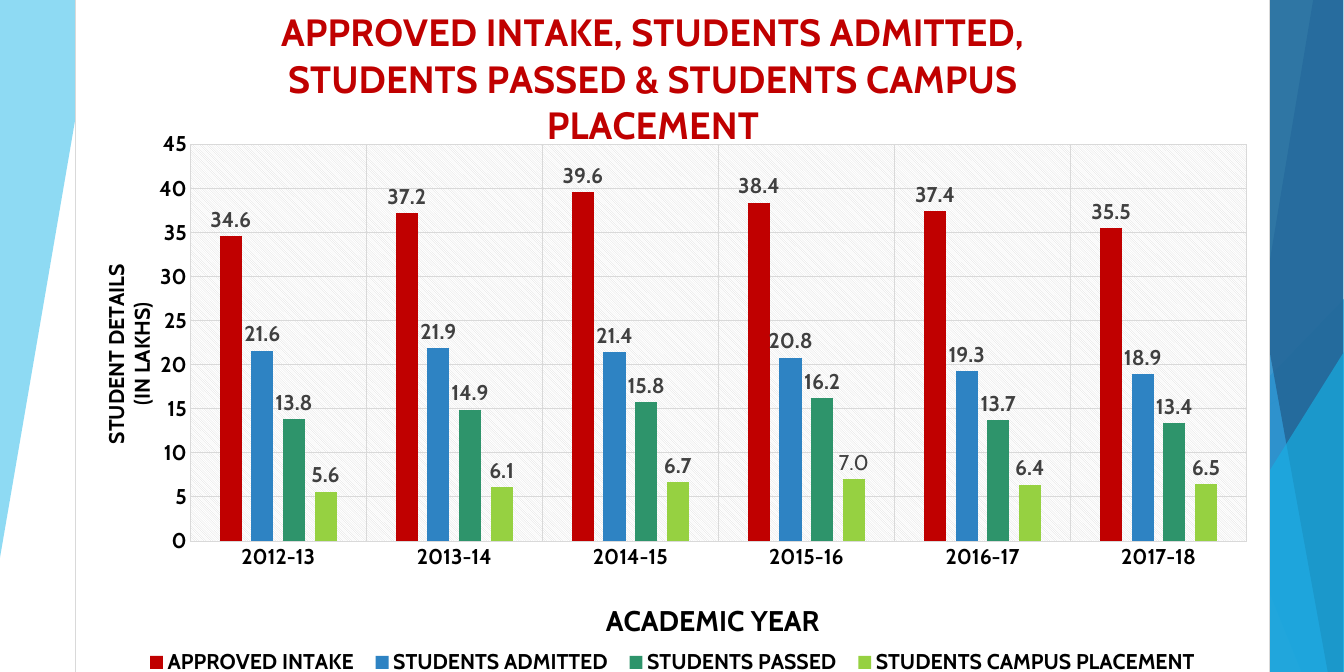
import pptx
import pptx.chart.data
import pptx.dml.color
import pptx.enum.chart
import pptx.enum.shapes
import pptx.oxml
import pptx.oxml.ns
import pptx.util
from pptx.util import Inches

qn = pptx.oxml.ns.qn
NAMESPACES = pptx.oxml.ns.nsdecls("c", "a")


def paint(fill, colour, opacity=100):
    fill.solid()
    fill.fore_color.rgb = pptx.dml.color.RGBColor.from_string(colour)
    if opacity < 100:
        tint = fill._xPr.find(qn("a:solidFill"))[0]
        tint.append(pptx.oxml.parse_xml(
            f'<a:alpha {NAMESPACES} val="{opacity * 1000}"/>'))


def place(part, index, **box):
    """Give a chart part a manual layout, in fractions of the chart."""
    for old in part.findall(qn("c:layout")):
        part.remove(old)
    target = '<c:layoutTarget val="inner"/>' if index == 0 else ""
    modes = '<c:xMode val="edge"/><c:yMode val="edge"/>'
    sizes = "".join(f'<c:{key} val="{value}"/>' for key, value in box.items())
    part.insert(index, pptx.oxml.parse_xml(
        f"<c:layout {NAMESPACES}><c:manualLayout>{target}{modes}{sizes}"
        "</c:manualLayout></c:layout>"))


deck = pptx.Presentation()
deck.slide_width, deck.slide_height = Inches(15.75), Inches(7.87)
slide = deck.slides.add_slide(deck.slide_layouts[6])
shapes = slide.shapes

# Faceted side decoration, back to front
ray = shapes.add_connector(pptx.enum.shapes.MSO_CONNECTOR.STRAIGHT,
                           Inches(15.74), Inches(4.23), Inches(9.59), Inches(7.87))
ray.line.width = pptx.util.Pt(0.75)
paint(ray.line.fill, "5FCBEF", 70)
ray._element.spPr.append(pptx.oxml.parse_xml(f"<a:effectLst {NAMESPACES}/>"))

# A facet is a list of corners, or the box (left, top, width, height) of a triangle
facets = [
    ([(0, 0), (1.12, -0.01), (1.12, 0.01), (0, 6.53)], "5FCBEF", 70),
    ([(14.5, -0.01), (15.74, -0.01), (15.74, 7.87), (11.86, 7.87)], "5FCBEF", 36),
    ([(12.4, -0.01), (15.75, -0.01), (15.75, 7.87), (13.97, 7.87)], "5FCBEF", 20),
    ((11.54, 3.5, 4.21, 4.37), "17B0E4", 66),
    ([(12.06, -0.01), (15.74, -0.01), (15.74, 7.87), (15.25, 7.87)], "17B0E4", 50),
    ([(15.39, -0.01), (15.74, -0.01), (15.74, 7.87), (14.08, 7.87)], "2E83C3", 70),
    ([(14.13, -0.01), (15.74, -0.01), (15.74, 7.87), (15.56, 7.87)], "226292", 80),
    ((13.4, 4.12, 2.35, 3.75), "17B0E4", 66),
]
for outline, colour, opacity in facets:
    if isinstance(outline, tuple):
        facet = shapes.add_shape(pptx.enum.shapes.MSO_SHAPE.ISOSCELES_TRIANGLE,
                                 *map(Inches, outline))
        facet.adjustments[0] = 1
    else:
        corners = [(Inches(x), Inches(y)) for x, y in outline]
        builder = shapes.build_freeform(*corners[0])
        builder.add_line_segments(corners[1:], close=True)
        facet = builder.convert_to_shape()
    facet.shadow.inherit = False
    facet.line.fill.background()
    paint(facet.fill, colour, opacity)

# Student chart
student_data = pptx.chart.data.CategoryChartData()
student_data.categories = ["2012-13", "2013-14", "2014-15",
                           "2015-16", "2016-17", "2017-18"]
measures = [
    ("APPROVED INTAKE", [34.6, 37.2, 39.6, 38.4, 37.4, 35.5], "C00000"),
    ("STUDENTS ADMITTED", [21.6, 21.9, 21.4, 20.8, 19.3, 18.9], "2E83C3"),
    ("STUDENTS PASSED", [13.8, 14.9, 15.8, 16.2, 13.7, 13.4], "2E946B"),
    ("STUDENTS CAMPUS PLACEMENT", [5.6, 6.1, 6.7, 7, 6.4, 6.5], "96D141"),
]
for name, values, colour in measures:
    student_data.add_series(name, values)
chart = shapes.add_chart(
    pptx.enum.chart.XL_CHART_TYPE.COLUMN_CLUSTERED,
    Inches(0.88), Inches(-0.1), Inches(14), Inches(8.32), student_data).chart
chart.font.size = pptx.util.Pt(10)
chart.font.name = "Cabin"
columns = chart.plots[0]
columns.gap_width, columns.overlap, columns.vary_by_categories = 267, -43, False

# Axes and gridlines
years, lakhs = chart.category_axis, chart.value_axis
lakhs.minimum_scale, lakhs.maximum_scale, lakhs.major_unit = 0, 45, 5
lakhs.format.line.fill.background()
for axis in (years, lakhs):
    axis.has_major_gridlines = True
    axis.major_tick_mark = pptx.enum.chart.XL_TICK_MARK.NONE
for line in (years.format.line, years.major_gridlines.format.line,
             lakhs.major_gridlines.format.line):
    line.width = pptx.util.Pt(0.75)
    paint(line.fill, "D9D9D9")

# Legend
chart.has_legend = True
legend = chart.legend
legend.position = pptx.enum.chart.XL_LEGEND_POSITION.BOTTOM
legend.include_in_layout = False
place(legend._element, 1, x=0.05, y=0.92, w=0.9, h=0.05)

fonts = [(part.font, 18, "000000", True)
         for part in (years.tick_labels, lakhs.tick_labels, legend)]

# Titles
titles = [
    (chart, "APPROVED INTAKE, STUDENTS ADMITTED,\n"
            "STUDENTS PASSED & STUDENTS CAMPUS PLACEMENT", 32, "C00000", 0.17, 0.02),
    (years, "ACADEMIC YEAR", 24, "000000", 0.44, 0.85),
    (lakhs, "STUDENT DETAILS\n(IN LAKHS)", 18, "000000", 0.02, 0.38),
]
for owner, wording, size, colour, x, y in titles:
    owner.has_title = True
    title = owner.chart_title if owner is chart else owner.axis_title
    title.text_frame.text = wording
    fonts += [(paragraph.runs[0].font, size, colour, True)
              for paragraph in title.text_frame.paragraphs]
    place(title._element, 1, x=x, y=y)
lakhs.axis_title.text_frame._txBody.bodyPr.set("rot", "-5400000")
lakhs.axis_title.text_frame._txBody.bodyPr.set("vert", "horz")

# Columns and their value labels
outside_end = pptx.enum.chart.XL_LABEL_POSITION.OUTSIDE_END
for series, (name, values, colour) in zip(columns.series, measures):
    paint(series.format.fill, colour)
    labels = series.data_labels
    labels.show_value = True
    labels.position = outside_end
    fonts.append((labels.font, 18, "404040", True))
placement_2015 = columns.series[3].points[3].data_label
placement_2015.text_frame.text = "7.0"
placement_2015.position = outside_end
fonts.append((placement_2015.text_frame.paragraphs[0].runs[0].font,
              18, "404040", False))

for font, size, colour, bold in fonts:
    text_format = {"name": "Cabin", "size": pptx.util.Pt(size), "bold": bold}
    for attribute, value in text_format.items():
        setattr(font, attribute, value)
    paint(font.fill, colour)

# Hatched plot area on a white, thinly bordered chart
plot_area = chart.element.find(qn("c:chart")).find(qn("c:plotArea"))
place(plot_area, 0, x=0.096, y=0.215, w=0.885, h=0.559)
plot_area.append(pptx.oxml.parse_xml(
    f'<c:spPr {NAMESPACES}><a:pattFill prst="ltDnDiag">'
    '<a:fgClr><a:srgbClr val="D9D9D9"/></a:fgClr>'
    '<a:bgClr><a:srgbClr val="FFFFFF"/></a:bgClr></a:pattFill>'
    '<a:ln><a:noFill/></a:ln></c:spPr>'))
chart.element.find(qn("c:txPr")).addprevious(pptx.oxml.parse_xml(
    f'<c:spPr {NAMESPACES}><a:solidFill><a:srgbClr val="FFFFFF"/></a:solidFill>'
    '<a:ln w="9525"><a:solidFill><a:srgbClr val="D9D9D9"/></a:solidFill></a:ln>'
    '</c:spPr>'))

deck.save("out.pptx")
